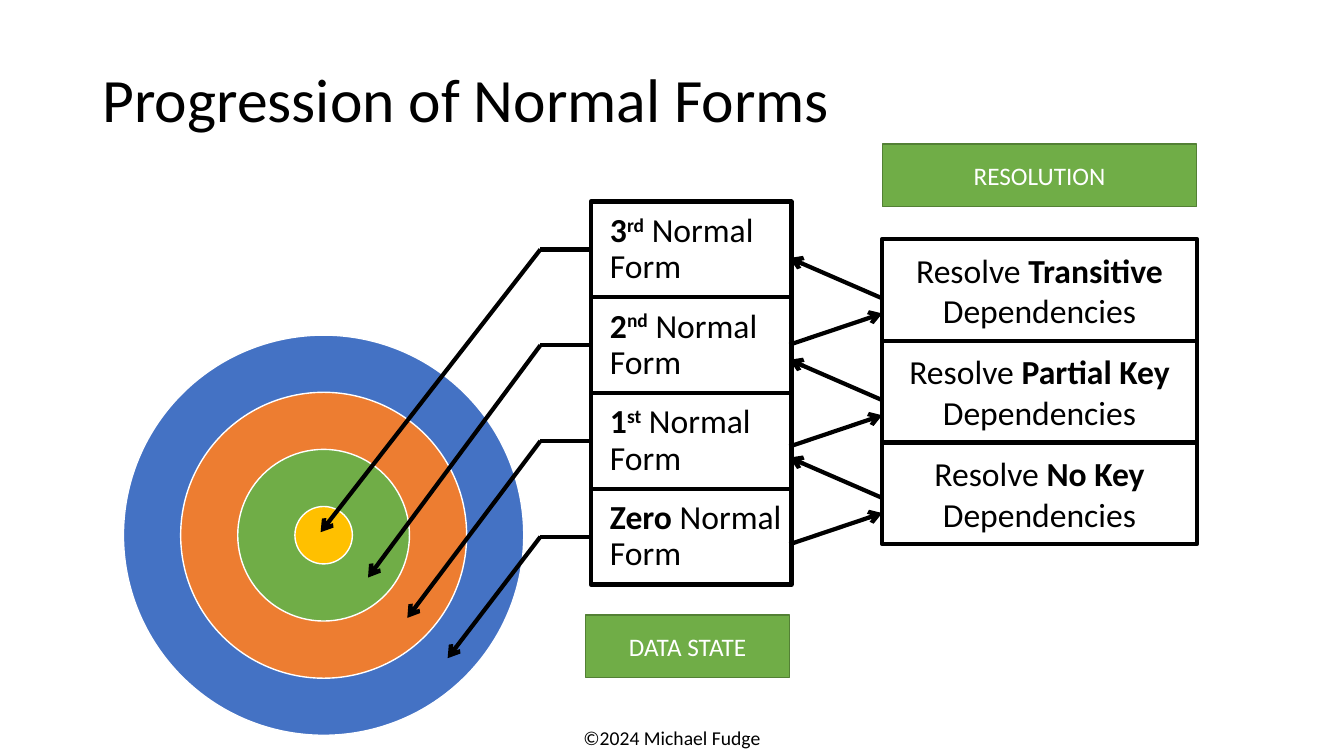
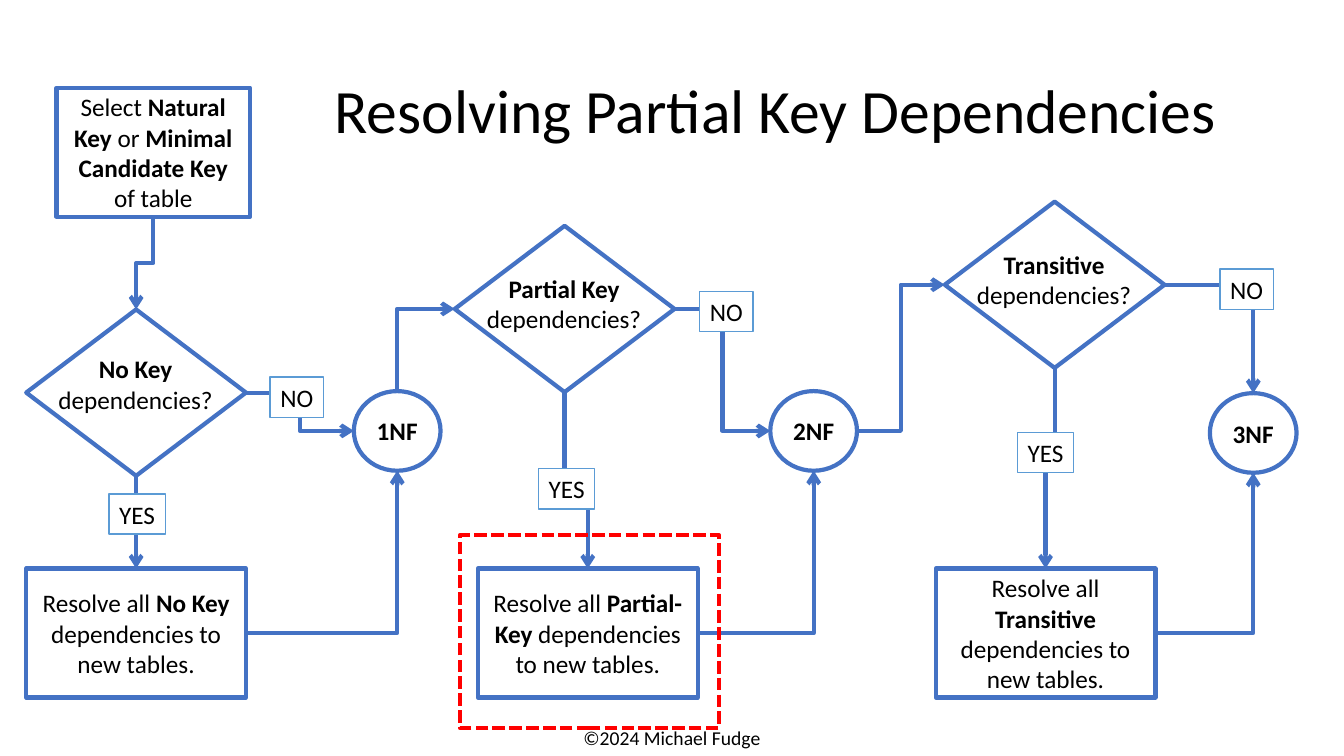
from collections import namedtuple

from pptx import Presentation
from pptx.dml.color import RGBColor as RGB
from pptx.enum.dml import MSO_LINE as Dash
from pptx.enum.shapes import MSO_CONNECTOR as Conn, MSO_SHAPE as Kind
from pptx.enum.text import MSO_ANCHOR as Anchor, PP_ALIGN as Align
from pptx.oxml.ns import qn
from pptx.util import Inches, Pt
from lxml.etree import SubElement

FONT = "Calibri"
HUES = {
    "black": "000000", "white": "FFFFFF", "blue": "4472C4",
    "orange": "ED7D31", "green": "70AD47", "gold": "FFC000",
    "moss": "538035", "sky": "5B9BD5", "red": "FF0000",
}

# Sizes shared by the steps of the flow chart
GEM_W, GEM_H = 2.18, 1.65
BOX_W, BOX_H, BOX_Y = 2.18, 1.28, 5.64
DOT_W, DOT_H = 0.86, 0.79

# gem, dot, yes and no are (left, top); label is the top of the gem's text
Stage = namedtuple("Stage", "name task form gem label box dot yes no")
STAGES = [
    Stage("No Key", "No Key", "1NF", (0.26, 3.07), 3.46, 0.26,
          (3.51, 3.88), (1.08, 4.9), (2.68, 3.74)),
    Stage("Partial Key", "Partial-Key", "2NF", (4.51, 2.24), 2.66, 4.74,
          (7.64, 3.88), (5.34, 4.65), (6.94, 2.89)),
    Stage("Transitive", "Transitive", "3NF", (9.37, 2), 2.42, 9.28,
          (12, 3.9), (10.09, 4.29), (12.1, 2.67)),
]


def hue(name):
    return RGB.from_string(HUES[name])


# Text: ** toggles bold, ^ toggles superscript, a newline starts a paragraph
def write(shape, text, size=18, color="black", align=Align.CENTER,
          anchor=Anchor.MIDDLE, wrap=True, lead=None, inset=None):
    frame = shape.text_frame
    frame.word_wrap = wrap
    frame.vertical_anchor = anchor
    if inset:
        (frame.margin_left, frame.margin_top,
         frame.margin_right, frame.margin_bottom) = map(Inches, inset)
    for n, row in enumerate(text.split("\n")):
        para = frame.add_paragraph() if n else frame.paragraphs[0]
        para.alignment = align
        if lead:
            para.line_spacing = lead
        for i, part in enumerate(row.split("**")):
            for j, bit in enumerate(part.split("^")):
                if not bit:
                    continue
                run = para.add_run()
                run.text = bit
                font = run.font
                font.name, font.size, font.bold = FONT, Pt(size), i % 2 == 1
                font.color.rgb = hue(color)
                if j % 2:
                    run._r.get_or_add_rPr().set("baseline", "30000")


def label(slide, at, text, **fmt):
    write(slide.shapes.add_textbox(*map(Inches, at)), text, **fmt)


def block(slide, at, text="", kind=Kind.RECTANGLE, fill="white",
          edge="blue", width=3, dash=None, **fmt):
    shape = slide.shapes.add_shape(kind, *map(Inches, at))
    shape.shadow.inherit = False
    if fill:
        shape.fill.solid()
        shape.fill.fore_color.rgb = hue(fill)
    else:
        shape.fill.background()
    shape.line.color.rgb = hue(edge)
    shape.line.width = Pt(width)
    if dash:
        shape.line.dash_style = dash
    if text:
        write(shape, text, **fmt)


# Lines and arrows
def line(slide, start, end, color="black", arrow=True, kind=Conn.STRAIGHT):
    wire = slide.shapes.add_connector(kind, *map(Inches, (*start, *end)))
    wire.line.color.rgb = hue(color)
    wire.line.width = Pt(3)
    if arrow:
        SubElement(wire.line._get_or_add_ln(), qn("a:tailEnd"), type="arrow")
    SubElement(wire._element.spPr, qn("a:effectLst"))
    return wire


def elbow(slide, start, end, route):
    """Route names the legs in order: h is across, v is up or down."""
    (x1, y1), (x2, y2) = start, end
    if x1 == x2:
        line(slide, start, end, "blue")
        return
    down = route[0] == "v"
    if down:  # lay the wire out on its side, then turn it by 90 degrees
        cx, cy = (x1 + x2) / 2, (y1 + y2) / 2
        dx, dy = (x2 - x1) / 2, (y2 - y1) / 2
        start, end = (cx - dy, cy + dx), (cx + dy, cy - dx)
    props = line(slide, start, end, "blue", kind=Conn.ELBOW)._element.spPr
    props.prstGeom.set("prst", f"bentConnector{len(route)}")
    if down:
        props.xfrm.set("rot", "5400000")


# Parts that both slides share
def page(deck, title, at):
    slide = deck.slides.add_slide(deck.slide_layouts[6])
    label(slide, (5.67, 7.15, 1.99, 0.34), "©2024 Michael Fudge", size=14,
          anchor=Anchor.TOP)
    label(slide, at, title, size=44, align=Align.LEFT, lead=0.9)
    return slide


def forms(deck):
    slide = page(deck, "Progression of Normal Forms", (0.92, 0.4, 11.5, 1.24))

    # Target
    for i, fill in enumerate(("blue", "orange", "green", "gold")):
        size = 3.97 - i * 3.4 / 3
        block(slide, (3.21 - size / 2, 5.31 - size / 2, size, size),
              kind=Kind.OVAL, fill=fill, edge="white", width=1)

    # States, each with a pointer to its ring
    states = [("3^rd^", (3.18, 5.28)), ("2^nd^", (3.65, 5.73)),
              ("1^st^", (4.04, 6.13)), ("Zero", (4.44, 6.53))]
    step = 0.95
    for i, (name, tip) in enumerate(states):
        top = 2 + i * step
        bend = (5.36, top + step / 2)
        block(slide, (5.86, top, 1.99, step), f"**{name}** Normal Form",
              fill=None, edge="black", size=24, align=Align.LEFT, lead=0.9,
              inset=(0.19, 0.03, 0.03, 0.03))
        line(slide, bend, (5.86, bend[1]), arrow=False)
        line(slide, bend, tip)

    # Resolutions, each with an arrow in and an arrow out
    fixes = zip(("Transitive", "Partial Key", "No Key"), (3.42, 4.43, 5.4))
    for i, (name, y) in enumerate(fixes):
        block(slide, (8.75, 2.37 + i * 1.01, 3.12, 1.01),
              f"Resolve **{name}** Dependencies", edge="black", size=24)
        line(slide, (7.83, y), (8.75, y - 0.31))
        line(slide, (8.75, y - 0.46), (7.83, y - 0.86))

    # Headings
    for text, at in (("RESOLUTION", (8.75, 1.43, 3.12, 0.62)),
                     ("DATA STATE", (5.81, 6.1, 2.02, 0.62))):
        block(slide, at, text, fill="green", edge="moss", width=1,
              color="white")


def flow(deck):
    slide = page(deck, "Resolving Partial Key Dependencies",
                 (3.22, 0.4, 9.2, 1.45))
    block(slide, (0.56, 0.87, 1.92, BOX_H),
          "Select **Natural Key** or **Minimal Candidate Key** of table")
    elbow(slide, (1.52, 2.15), (1.35, 3.07), "vhv")

    for s in STAGES:
        (gx, gy), (dx, dy) = s.gem, s.dot
        mid = dx + DOT_W / 2
        last = s is STAGES[-1]

        # Question, task and result
        block(slide, (gx, gy, GEM_W, GEM_H), kind=Kind.DIAMOND)
        label(slide, (gx + 0.21, s.label, 1.75, 0.71),
              f"**{s.name}**\ndependencies?", wrap=False, anchor=Anchor.TOP)
        block(slide, (s.box, BOX_Y, BOX_W, BOX_H),
              f"Resolve all **{s.task}** dependencies to new tables.")
        block(slide, (dx, dy, DOT_W, DOT_H), f"**{s.form}**", kind=Kind.OVAL)

        # Ways from question to result
        out = (gx + GEM_W, gy + GEM_H / 2)
        if last:
            elbow(slide, out, (mid, dy), "hv")
        else:
            elbow(slide, out, (dx, dy + DOT_H / 2), "hvh")
        elbow(slide, (gx + GEM_W / 2, gy + GEM_H),
              (s.box + BOX_W / 2, BOX_Y), "vhv")
        elbow(slide, (s.box + BOX_W, BOX_Y + BOX_H / 2),
              (mid, dy + DOT_H), "hv")
        for text, spot, width in (("YES", s.yes, 0.56), ("NO", s.no, 0.53)):
            block(slide, (*spot, width, 0.4), text, edge="sky", width=1,
                  wrap=False)

    # Ways on to the next question
    one, two, three = STAGES
    elbow(slide, (one.dot[0] + DOT_W / 2, one.dot[1]),
          (two.gem[0], two.gem[1] + GEM_H / 2), "vh")
    elbow(slide, (two.dot[0] + DOT_W, two.dot[1] + DOT_H / 2),
          (three.gem[0], three.gem[1] + GEM_H / 2), "hvh")

    # Highlight
    block(slide, (4.56, 5.31, 2.57, 1.91), fill=None, edge="red",
          dash=Dash.SQUARE_DOT)


def main():
    deck = Presentation()
    deck.slide_width, deck.slide_height = Inches(13.33), Inches(7.5)
    forms(deck)
    flow(deck)
    deck.save("out.pptx")


if __name__ == "__main__":
    main()
